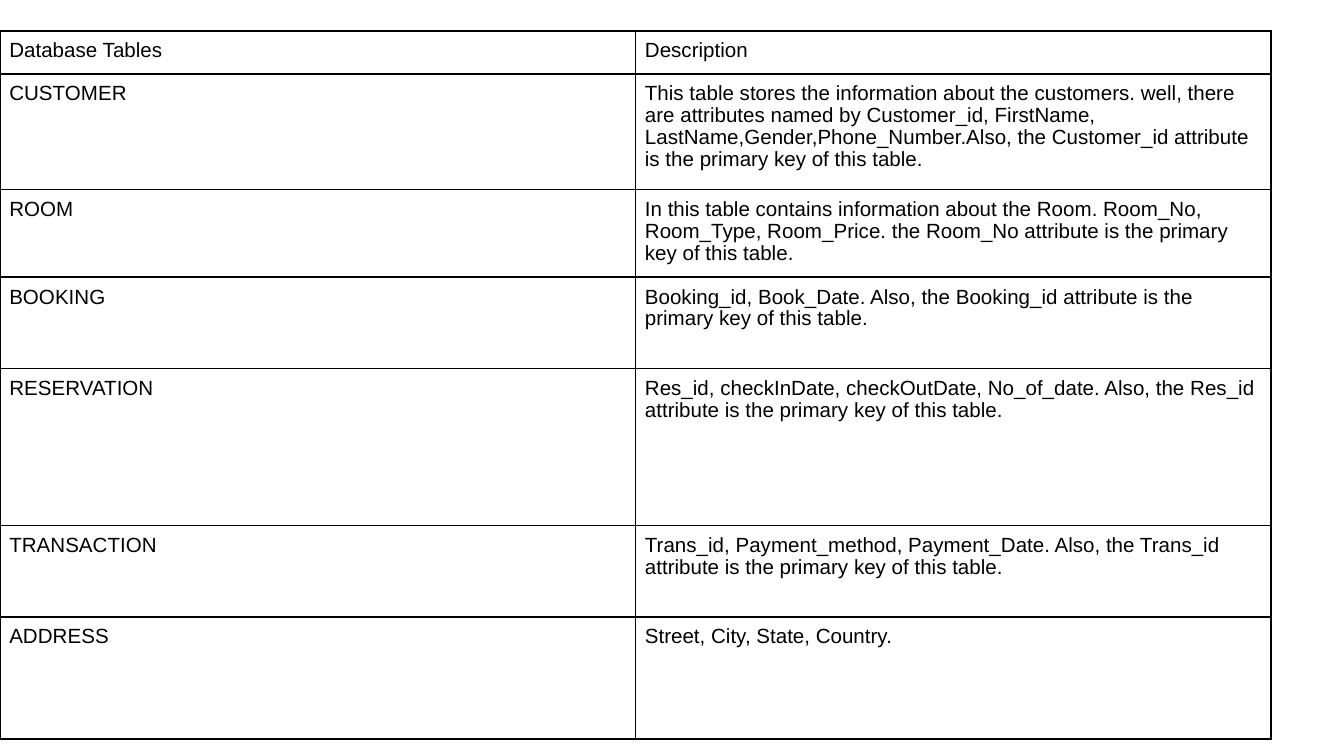
"""Build a slide with a table that describes the database tables of a hotel."""
from lxml import etree
from pptx import Presentation
from pptx.dml.color import RGBColor
from pptx.oxml.ns import qn
from pptx.util import Pt

BLANK = 6
COL_WIDTH = 340.5
ROWS = [
    (23, "Database Tables", "Description"),
    (62, "CUSTOMER",
     "This table stores the information about the customers. well, there are "
     "attributes named by Customer_id, FirstName,\n"
     "LastName,Gender,Phone_Number.Also, the Customer_id attribute is the "
     "primary key of this table."),
    (47, "ROOM",
     "In this table contains information about the Room. Room_No, Room_Type, "
     "Room_Price. the Room_No attribute is the primary key of this table."),
    (49, "BOOKING",
     "Booking_id, Book_Date. Also, the Booking_id attribute is the primary "
     "key of this table."),
    (84, "RESERVATION",
     "Res_id, checkInDate, checkOutDate, No_of_date. Also, the Res_id "
     "attribute is the primary key of this table."),
    (49, "TRANSACTION",
     "Trans_id, Payment_method, Payment_Date. Also, the Trans_id attribute "
     "is the primary key of this table."),
    (65.5, "ADDRESS", "Street, City, State, Country."),
]


def rgb(color):
    """Turn a hex string into a colour."""
    return RGBColor.from_string(color)


def write(tf, text, font="Arial", size=11, color="000000", spacing=0.96):
    """Write text into a frame, one paragraph a line."""
    for i, line in enumerate(text.split("\n")):
        p = tf.add_paragraph() if i else tf.paragraphs[0]
        p.line_spacing = spacing
        r = p.add_run()
        r.text = line
        r.font.name = font
        r.font.size = Pt(size)
        r.font.color.rgb = rgb(color)


class Deck:
    """Hold the style and the current slide."""

    def __init__(self, prs, line="000000", line_width=1, inset=5):
        """Add a blank slide and keep the style."""
        self.s = prs.slides.add_slide(prs.slide_layouts[BLANK])
        self.line, self.line_width, self.inset = line, line_width, inset

    def border(self, cell):
        """Draw a line on all four sides of a cell."""
        tc_pr = cell._tc.get_or_add_tcPr()
        for i, side in enumerate(("a:lnL", "a:lnR", "a:lnT", "a:lnB")):
            ln = etree.Element(qn(side), w=str(Pt(self.line_width)))
            fill = etree.SubElement(ln, qn("a:solidFill"))
            etree.SubElement(fill, qn("a:srgbClr"), val=self.line)
            tc_pr.insert(i, ln)

    def table(self, left, top, col_width, rows):
        """Add a table from rows of height and cell texts."""
        cols = len(rows[0]) - 1
        height = sum(row[0] for row in rows)
        sp = self.s.shapes.add_table(len(rows), cols, Pt(left), Pt(top),
                                     Pt(col_width * cols), Pt(height))
        table = sp.table
        table.first_row = table.horz_banding = False
        for col in table.columns:
            col.width = Pt(col_width)
        for i, (row_height, *texts) in enumerate(rows):
            table.rows[i].height = Pt(row_height)
            for j, text in enumerate(texts):
                cell = table.cell(i, j)
                cell.margin_left = cell.margin_right = Pt(self.inset)
                cell.margin_top = cell.margin_bottom = Pt(self.inset)
                cell.fill.background()
                self.border(cell)
                write(cell.text_frame, text)


def main():
    """Build and save the slide."""
    prs = Presentation()
    prs.slide_width, prs.slide_height = Pt(720), Pt(405)
    Deck(prs).table(0, 16.5, COL_WIDTH, ROWS)
    prs.save("out.pptx")


if __name__ == "__main__":
    main()
